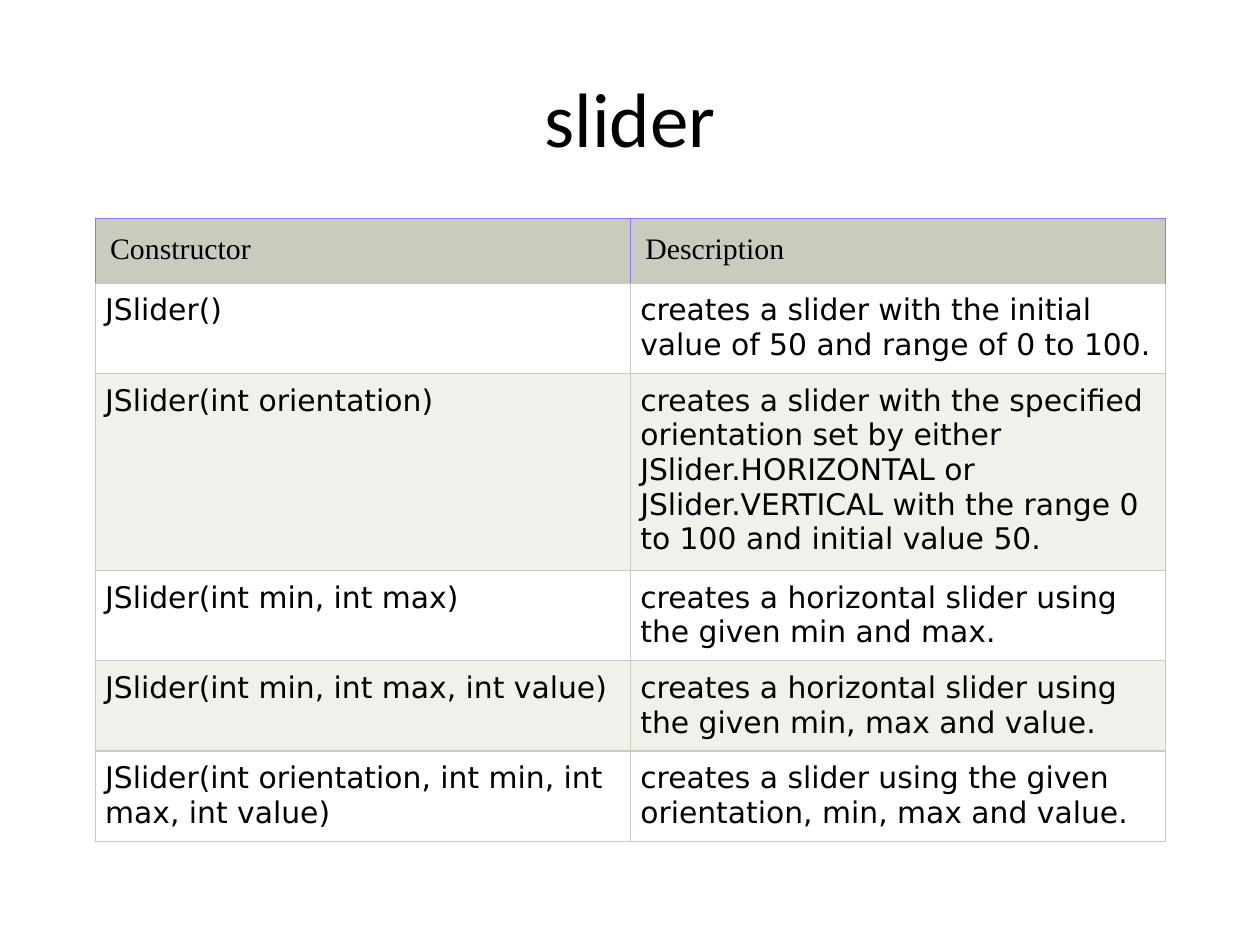
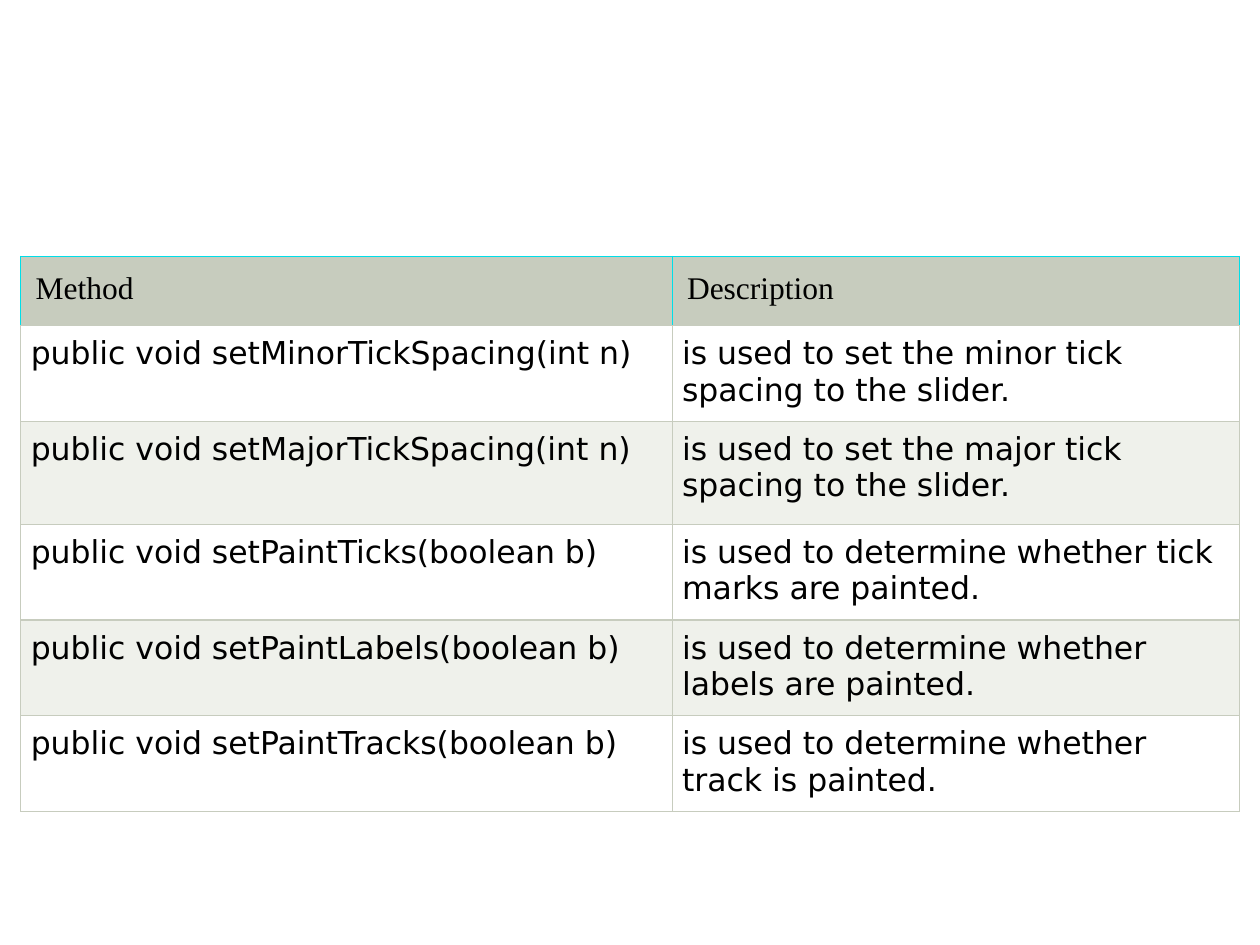
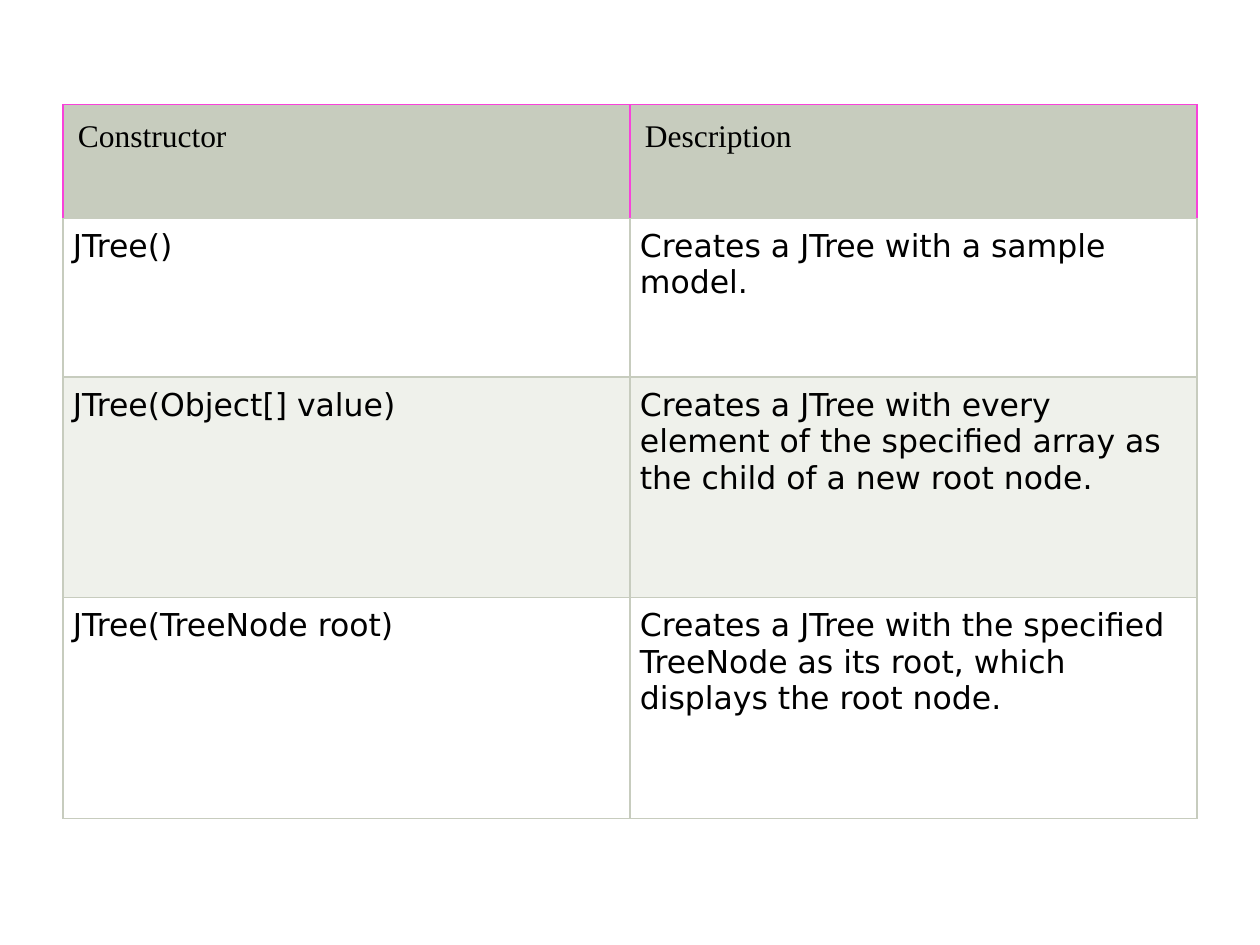
from lxml.etree import SubElement
from pptx import Presentation
from pptx.dml.color import RGBColor
from pptx.enum.text import MSO_ANCHOR, PP_ALIGN
from pptx.oxml.ns import qn
from pptx.util import Cm, Pt

BLACK = RGBColor(0x00, 0x00, 0x00)
WHITE = RGBColor(0xFF, 0xFF, 0xFF)
SAGE = RGBColor(0xC7, 0xCC, 0xBE)
PALE_SAGE = RGBColor(0xEF, 0xF1, 0xEB)
VIOLET = RGBColor(0x98, 0x73, 0xF7)
CYAN = RGBColor(0x00, 0xDE, 0xE8)
MAGENTA = RGBColor(0xF8, 0x42, 0xDA)

TITLE_FONT = "Calibri"
HEADER_FONT = "Times New Roman"
BODY_FONT = "DejaVu Sans"
HEADER_INSET = Cm(0.3)
BODY_INSET = Cm(0.2)
BORDER_WIDTH = Pt(0.75)
TITLE_ONLY, BLANK = 5, 6

SLIDER_CONSTRUCTORS = [
    ("Constructor", "Description"),
    ("JSlider()",
     "creates a slider with the initial value of 50 and range of 0 to 100."),
    ("JSlider(int orientation)",
     "creates a slider with the specified orientation set by either "
     "JSlider.HORIZONTAL or JSlider.VERTICAL with the range 0 to 100 "
     "and initial value 50."),
    ("JSlider(int min, int max)",
     "creates a horizontal slider using the given min and max."),
    ("JSlider(int min, int max, int value)",
     "creates a horizontal slider using the given min, max and value."),
    ("JSlider(int orientation, int min, int max, int value)",
     "creates a slider using the given orientation, min, max and value."),
]
SLIDER_METHODS = [
    ("Method", "Description"),
    ("public void setMinorTickSpacing(int n)",
     "is used to set the minor tick spacing to the slider."),
    ("public void setMajorTickSpacing(int n)",
     "is used to set the major tick spacing to the slider."),
    ("public void setPaintTicks(boolean b)",
     "is used to determine whether tick marks are painted."),
    ("public void setPaintLabels(boolean b)",
     "is used to determine whether labels are painted."),
    ("public void setPaintTracks(boolean b)",
     "is used to determine whether track is painted."),
]
TREE_CONSTRUCTORS = [
    ("Constructor", "Description"),
    ("JTree()", "Creates a JTree with a sample model."),
    ("JTree(Object[] value)",
     "Creates a JTree with every element of the specified array "
     "as the child of a new root node."),
    ("JTree(TreeNode root)",
     "Creates a JTree with the specified TreeNode as its root, "
     "which displays the root node."),
]


def add_run(paragraph, wording, font_name, size):
    run = paragraph.add_run()
    run.text = wording
    run.font.name = font_name
    run.font.size = Pt(size)
    run.font.bold = False
    run.font.color.rgb = BLACK


def add_title(slide, wording):
    title = slide.shapes.title
    title.left, title.top = Cm(1.27), Cm(0.76)
    title.width, title.height = Cm(22.86), Cm(3.18)
    frame = title.text_frame
    frame.vertical_anchor = MSO_ANCHOR.MIDDLE
    heading = frame.paragraphs[0]
    heading.alignment = PP_ALIGN.CENTER
    add_run(heading, wording, TITLE_FONT, 44)


def set_borders(cell, side_color, bottom_color):
    properties = cell._tc.get_or_add_tcPr()
    edges = {"a:lnL": side_color, "a:lnR": side_color,
             "a:lnT": side_color, "a:lnB": bottom_color}
    for edge, color in edges.items():
        line = SubElement(properties, qn(edge), w=str(BORDER_WIDTH))
        fill = SubElement(line, qn("a:solidFill"))
        SubElement(fill, qn("a:srgbClr"), val=str(color))


def fill_cell(cell, wording, font_name, size, inset, background, side_color):
    cell.margin_left = cell.margin_right = inset
    cell.margin_top = cell.margin_bottom = inset
    cell.vertical_anchor = MSO_ANCHOR.TOP
    set_borders(cell, side_color, SAGE)
    cell.fill.solid()
    cell.fill.fore_color.rgb = background
    add_run(cell.text_frame.paragraphs[0], wording, font_name, size)


def add_reference_table(slide, entries, left, top, widths, heights, size, accent):
    table = slide.shapes.add_table(
        len(entries), len(widths), Cm(left), Cm(top),
        Cm(sum(widths)), Cm(sum(heights))).table
    table.first_row = False
    table.horz_banding = False
    for column, width in zip(table.columns, widths):
        column.width = Cm(width)
    for row, height in zip(table.rows, heights):
        row.height = Cm(height)
    for index, entry in enumerate(entries):
        if index == 0:
            style = HEADER_FONT, size, HEADER_INSET, SAGE, accent
        else:
            band = WHITE if index % 2 else PALE_SAGE
            style = BODY_FONT, size, BODY_INSET, band, SAGE
        for cell, wording in zip(table.rows[index].cells, entry):
            fill_cell(cell, wording, *style)


def main():
    deck = Presentation()
    deck.slide_width, deck.slide_height = Cm(25.4), Cm(19.05)

    slider = deck.slides.add_slide(deck.slide_layouts[TITLE_ONLY])
    add_title(slider, "slider")
    add_reference_table(slider, SLIDER_CONSTRUCTORS, 1.92, 4.4,
                        [10.79] * 2, [1.31, 1.82, 3.97] + [1.82] * 3, 17, VIOLET)

    methods = deck.slides.add_slide(deck.slide_layouts[BLANK])
    add_reference_table(methods, SLIDER_METHODS, 0.42, 5.17,
                        [13.13, 11.43], [1.39, 1.93, 2.08] + [1.93] * 3, 18, CYAN)

    tree = deck.slides.add_slide(deck.slide_layouts[BLANK])
    add_reference_table(tree, TREE_CONSTRUCTORS, 1.27, 2.11,
                        [11.43] * 2, [2.29, 3.2, 4.45, 4.45], 18, MAGENTA)

    deck.save("out.pptx")


if __name__ == "__main__":
    main()
